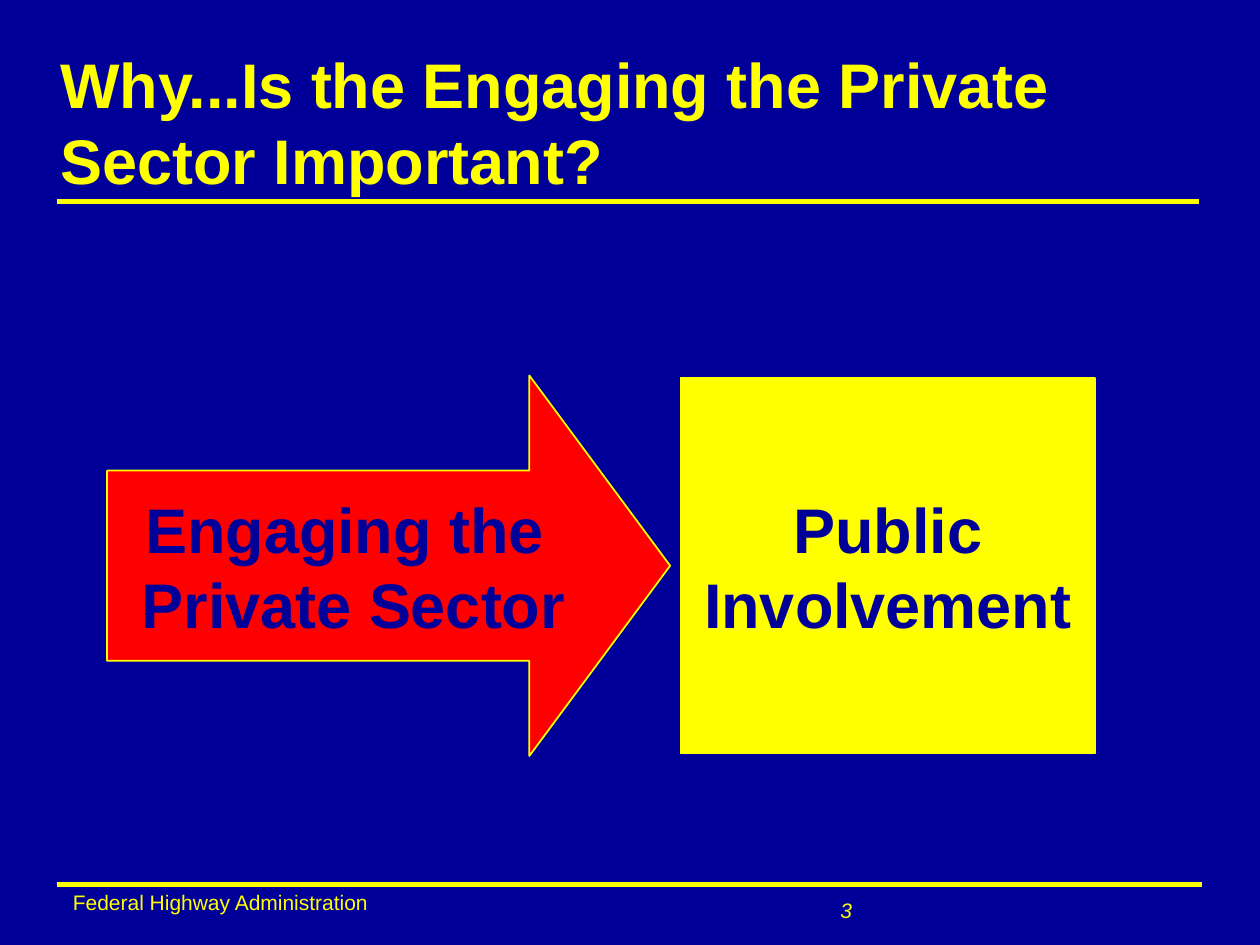
"""Build the slide on engaging the private sector."""
from pptx import Presentation, util as u
from pptx.dml.color import RGBColor
from pptx.enum import shapes, text
from pptx.oxml import ns, xmlchemy as xc

NAVY, GOLD, RED = "000099", "FFFF00", "FF0000"


def tint(fill, color):
    """Make a fill solid in a hex colour."""
    fill.solid()
    fill.fore_color.rgb = RGBColor.from_string(color)


def write(frame, words, size=12, color=GOLD, bold=False, italic=False,
          align=text.PP_ALIGN.LEFT, anchor=text.MSO_ANCHOR.TOP,
          wrap=True, space=1.0):
    """Fill a text frame, one paragraph to a line."""
    frame.text = words
    frame.word_wrap = wrap
    frame.auto_size = text.MSO_AUTO_SIZE.NONE
    frame.vertical_anchor = anchor
    frame.margin_left = frame.margin_right = u.Cm(0.25)
    frame.margin_top = frame.margin_bottom = u.Cm(0.13)
    for para in frame.paragraphs:
        para.alignment = align
        para.line_spacing = space
        for run in para.runs:
            font = run.font
            font.name, font.size = "Arial", u.Pt(size)
            font.bold, font.italic = bold, italic
            tint(font.fill, color)


class Deck:
    """Hold the presentation, its style and the current slide."""

    def __init__(self, wide, high):
        """Open a title-only slide on navy."""
        self.prs = Presentation()
        self.prs.slide_width, self.prs.slide_height = u.Cm(wide), u.Cm(high)
        self.slide = self.prs.slides.add_slide(self.prs.slide_layouts[5])
        self.items = self.slide.shapes
        tint(self.slide.background.fill, NAVY)

    def title(self, words, *box):
        """Place and format the title."""
        head = self.items.title
        head.left, head.top, head.width, head.height = map(u.Cm, box)
        write(head.text_frame, words, size=36, bold=True)

    def label(self, words, *box, **style):
        """Add a small text box."""
        note = self.items.add_textbox(*map(u.Cm, box))
        write(note.text_frame, words, **style)

    def rule(self, left, right, top):
        """Add a level gold line."""
        line = self.items.add_connector(
            shapes.MSO_CONNECTOR.STRAIGHT, *map(u.Cm, (left, top, right, top)))
        tint(line.line.fill, GOLD)
        line.line.width = u.Pt(3)
        props = line.element.spPr
        props.append(xc.OxmlElement("a:effectLst", nsmap=ns.nsdecls and None))

    def block(self, kind, words, fill, *box):
        """Add a filled shape with a bold centred caption."""
        shape = self.items.add_shape(kind, *map(u.Cm, box))
        shape.shadow.inherit = False
        tint(shape.fill, fill)
        tint(shape.line.fill, GOLD)
        shape.line.width = u.Pt(1)
        write(shape.text_frame, words, size=36, color=NAVY, bold=True,
              align=text.PP_ALIGN.CENTER, anchor=text.MSO_ANCHOR.MIDDLE,
              wrap=False)
        return shape


def main():
    """Draw the slide and save it."""
    deck = Deck(25.4, 19.05)
    deck.label("Federal Highway Administration", 1.22, 18.03, 9.96, 0.51,
               space=0.5)
    deck.rule(1.14, 24.18, 4.06)
    deck.rule(1.14, 24.23, 17.83)
    kinds = shapes.MSO_SHAPE
    deck.block(kinds.RECTANGLE, "Public\nInvolvement", GOLD,
               13.72, 7.62, 8.36, 7.57)
    arrow = deck.block(kinds.RIGHT_ARROW, "Engaging the \nPrivate Sector", RED,
                       2.16, 7.57, 11.35, 7.67)
    arrow.adjustments[1] = 0.37
    deck.title("Why...Is the Engaging the Private Sector Important?",
               0.97, 0.79, 22.99, 2.95)
    deck.label("3", 16.69, 17.96, 8.2, 0.69, italic=True)
    deck.prs.save("out.pptx")


if __name__ == "__main__":
    main()
